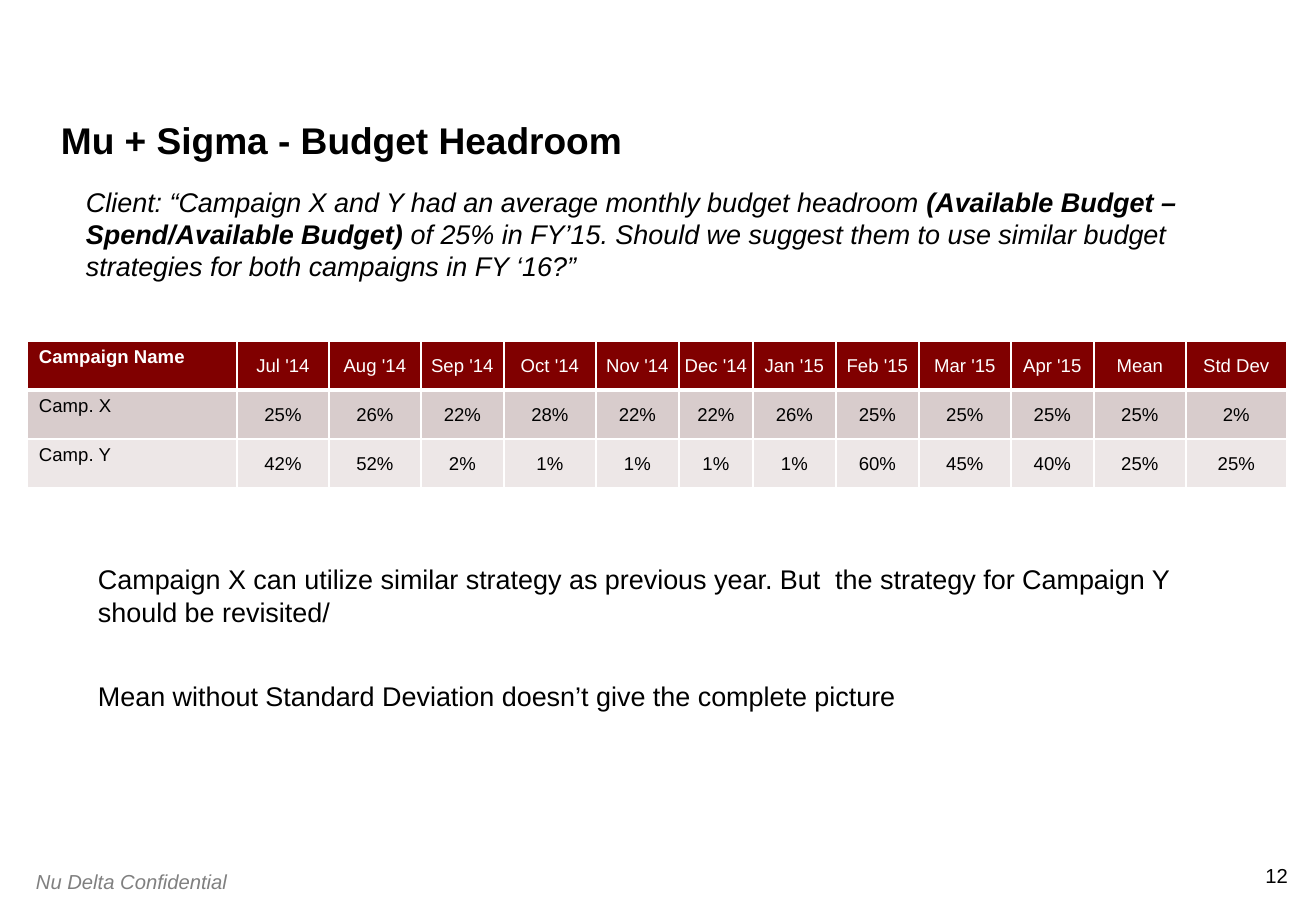
import pptx
import pptx.util
import pptx.dml.color
import pptx.enum.text
import pptx.oxml.ns
import lxml.etree

PX = 7526
FONT = "Arial"
BLACK = pptx.dml.color.RGBColor(0x00, 0x00, 0x00)
WHITE = pptx.dml.color.RGBColor(0xFF, 0xFF, 0xFF)
GREY = pptx.dml.color.RGBColor(0x80, 0x80, 0x80)
MAROON = pptx.dml.color.RGBColor(0x80, 0x00, 0x00)
ROSE = pptx.dml.color.RGBColor(0xD8, 0xCC, 0xCC)
PALE_ROSE = pptx.dml.color.RGBColor(0xED, 0xE7, 0xE7)

LEFT = pptx.enum.text.PP_ALIGN.LEFT
CENTER = pptx.enum.text.PP_ALIGN.CENTER
RIGHT = pptx.enum.text.PP_ALIGN.RIGHT
TOP = pptx.enum.text.MSO_ANCHOR.TOP
MIDDLE = pptx.enum.text.MSO_ANCHOR.MIDDLE
BOTTOM = pptx.enum.text.MSO_ANCHOR.BOTTOM

COLUMN_WIDTHS = [210, 92, 92, 83, 92, 83, 74, 83, 83, 92, 83, 92, 101]
HEADROOM = [
    ["Campaign Name", "Jul '14", "Aug '14", "Sep '14", "Oct '14", "Nov '14", "Dec '14",
     "Jan '15", "Feb '15", "Mar '15", "Apr '15", "Mean", "Std Dev"],
    ["Camp. X", "25%", "26%", "22%", "28%", "22%", "22%",
     "26%", "25%", "25%", "25%", "25%", "2%"],
    ["Camp. Y", "42%", "52%", "2%", "1%", "1%", "1%",
     "1%", "60%", "45%", "40%", "25%", "25%"],
]
ROW_FILLS = [MAROON, ROSE, PALE_ROSE]
QUOTE = [
    ("Client: “Campaign X and Y had an average monthly budget headroom ", False),
    ("(Available Budget – Spend/Available Budget)", True),
    (" of 25% in FY’15. Should we suggest them to use similar budget "
     "strategies for both campaigns in FY ‘16?”", False),
]


def px(count):
    return pptx.util.Emu(count * PX)


def style_span(span, size, color, bold=False, italic=False):
    span.font.name = FONT
    span.font.size = pptx.util.Pt(size)
    span.font.color.rgb = color
    span.font.bold = bold
    span.font.italic = italic


def set_margins(target, left, top, right, bottom):
    target.margin_left = px(left)
    target.margin_top = px(top)
    target.margin_right = px(right)
    target.margin_bottom = px(bottom)


def add_text(page, box, spans, size, color=BLACK, italic=False,
             align=LEFT, anchor=TOP, spacing=1.0):
    frame = page.shapes.add_textbox(*map(px, box)).text_frame
    frame.word_wrap = True
    frame.vertical_anchor = anchor
    set_margins(frame, 0, 0, 0, 0)
    para = frame.paragraphs[0]
    para.alignment = align
    para.line_spacing = spacing
    for text, bold in spans:
        span = para.add_run()
        span.text = text
        style_span(span, size, color, bold, italic)


def add_heading(page, box):
    left, top, width, height = box
    add_text(page, (left, top, width, 112), [("Mu + Sigma - Budget Headroom", True)], 22,
             anchor=BOTTOM, spacing=0.9)
    add_text(page, (left + 25, top + 134, width - 30, height - 134), QUOTE, 16, italic=True)


def add_border(cell, side, points):
    properties = cell._tc.get_or_add_tcPr()
    qn = pptx.oxml.ns.qn
    line = lxml.etree.SubElement(properties, qn("a:ln" + side), w=str(pptx.util.Pt(points)))
    fill = lxml.etree.SubElement(line, qn("a:solidFill"))
    lxml.etree.SubElement(fill, qn("a:srgbClr"), val=str(WHITE))


def style_cell(cell, text, row, column):
    is_header = row == 0
    is_name = column == 0
    for side in "LRTB":
        thick = (is_header and side == "B") or (row == 1 and side == "T")
        add_border(cell, side, 3 if thick else 1)
    cell.fill.solid()
    cell.fill.fore_color.rgb = ROW_FILLS[row]
    cell.vertical_anchor = TOP if is_name else MIDDLE
    set_margins(cell, *((12, 6, 12, 6) if is_name else (1, 1, 1, 0)))
    para = cell.text_frame.paragraphs[0]
    para.text = text
    para.alignment = LEFT if is_name else CENTER
    style_span(para.runs[0], 11, WHITE if is_header else BLACK, is_header and is_name)


def add_headroom_table(page, box):
    shape = page.shapes.add_table(len(HEADROOM), len(COLUMN_WIDTHS), *map(px, box))
    table = shape.table
    table.horz_banding = False
    for column, width in zip(table.columns, COLUMN_WIDTHS):
        column.width = px(width)
    for row, texts in enumerate(HEADROOM):
        table.rows[row].height = px(box[3] // len(HEADROOM))
        for column, text in enumerate(texts):
            style_cell(table.cell(row, column), text, row, column)


def add_conclusions(page, box):
    left, top, width, height = box
    strategy = ("Campaign X can utilize similar strategy as previous year. "
                "But  the strategy for Campaign Y should be revisited/")
    lesson = "Mean without Standard Deviation doesn’t give the complete picture"
    add_text(page, (left, top, width, 66), [(strategy, False)], 16)
    add_text(page, (left, top + 117, width, height - 117), [(lesson, False)], 16)


def add_footer(page, box):
    left, top, width, height = box
    add_text(page, (left, top + 6, 300, height - 6), [("Nu Delta Confidential", False)], 12,
             color=GREY, italic=True)
    add_text(page, (left + width - 60, top, 60, height), [("12", False)], 12, align=RIGHT)


def main():
    deck = pptx.Presentation()
    deck.slide_width = px(1316)
    deck.slide_height = px(911)
    page = deck.slides.add_slide(deck.slide_layouts[6])
    add_heading(page, (61, 51, 1194, 252))
    add_headroom_table(page, (27, 341, sum(COLUMN_WIDTHS), 147))
    add_conclusions(page, (98, 563, 1113, 149))
    add_footer(page, (36, 863, 1252, 30))
    deck.save("out.pptx")


if __name__ == "__main__":
    main()
